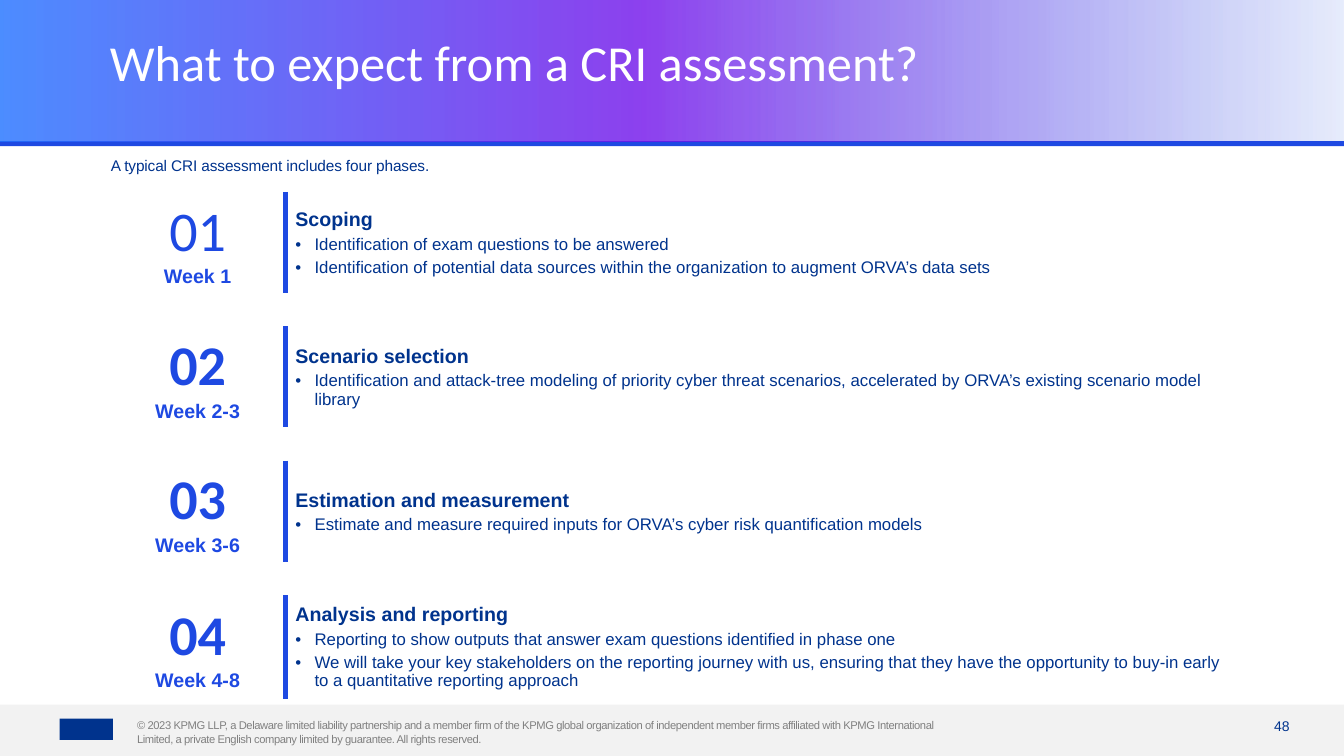
from lxml.etree import SubElement
from pptx import Presentation
from pptx.dml.color import RGBColor
from pptx.enum.shapes import MSO_SHAPE as Shape
from pptx.enum.text import MSO_ANCHOR as Anchor, PP_ALIGN as Align
from pptx.oxml import parse_xml
from pptx.oxml.ns import nsdecls, qn
from pptx.util import Inches, Pt

BLUE, NAVY, GREY, PALE, WHITE = "1E49E2", "00338D", "808080", "F2F2F2", "FFFFFF"
LEFT, WIDTH = 8.18, 83.72
PHASE_ROW, GAP_ROW, LAST_ROW = 13.33, 4.44, 13.6

PHASES = [
    ("Week 1", "Scoping", [
        "Identification of exam questions to be answered",
        "Identification of potential data sources within the organization to augment ORVA’s data sets"]),
    ("Week 2-3", "Scenario selection", [
        "Identification and attack-tree modeling of priority cyber threat scenarios, "
        "accelerated by ORVA’s existing scenario model library"]),
    ("Week 3-6", "Estimation and measurement", [
        "Estimate and measure required inputs for ORVA’s cyber risk quantification models"]),
    ("Week 4-8", "Analysis and reporting", [
        "Reporting to show outputs that answer exam questions identified in phase one",
        "We will take your key stakeholders on the reporting journey with us, ensuring that they "
        "have the opportunity to buy-in early to a quantitative reporting approach"]),
]
NOTICE = ("© 2023 KPMG LLP, a Delaware limited liability partnership and a member firm of the KPMG "
          "global organization of independent member firms affiliated with KPMG International "
          "Limited, a private English company limited by guarantee. All rights reserved.")


def color(hex_code):
    return RGBColor.from_string(hex_code)


class SlideBuilder:
    """Draws styled elements on one slide, with lengths in percent of its size."""

    def __init__(self, deck):
        self.deck = deck
        self.slide = deck.slides.add_slide(deck.slide_layouts[6])

    def across(self, share):
        return round(self.deck.slide_width * share / 100)

    def down(self, share):
        return round(self.deck.slide_height * share / 100)

    def place(self, left, top, width, height):
        return self.across(left), self.down(top), self.across(width), self.down(height)

    def bar(self, left, top, width, height, fill):
        shape = self.slide.shapes.add_shape(Shape.RECTANGLE, *self.place(left, top, width, height))
        shape.shadow.inherit = False
        shape.fill.solid()
        shape.fill.fore_color.rgb = color(fill)
        shape.line.fill.background()
        return shape

    def gradient_bar(self, left, top, width, height, stops):
        shape = self.bar(left, top, width, height, WHITE)
        stop_xml = "".join(
            f'<a:gs pos="{position * 1000}"><a:srgbClr val="{hex_code}">'
            f'<a:alpha val="{opacity * 1000}"/></a:srgbClr></a:gs>'
            for position, hex_code, opacity in stops)
        gradient = parse_xml(f'<a:gradFill {nsdecls("a")} rotWithShape="1"><a:gsLst>{stop_xml}'
                             '</a:gsLst><a:lin ang="0" scaled="0"/></a:gradFill>')
        properties = shape.element.spPr
        properties.replace(properties.find(qn("a:solidFill")), gradient)

    def style_text(self, para, text, size, hex_code, font="Arial", bold=False, spacing=0):
        para.text = text
        span = para.runs[0]
        span.font.name = font
        span.font.size = Pt(size)
        span.font.bold = bold
        span.font.color.rgb = color(hex_code)
        if spacing:
            span._r.get_or_add_rPr().set("spc", str(round(spacing * 100)))

    def text(self, left, top, width, height, text, size, hex_code, inset=(0, 0),
             anchor=Anchor.TOP, align=Align.LEFT, line_spacing=None, **style):
        box = self.slide.shapes.add_textbox(*self.place(left, top, width, height))
        frame = box.text_frame
        frame.word_wrap = True
        frame.vertical_anchor = anchor
        frame.margin_left, frame.margin_top = Inches(inset[0]), Inches(inset[1])
        frame.margin_right = frame.margin_bottom = 0
        para = frame.paragraphs[0]
        para.alignment = align
        para.line_spacing = line_spacing
        self.style_text(para, text, size, hex_code, **style)

    def bullet(self, para):
        properties = para._p.get_or_add_pPr()
        indent = Inches(0.19)
        properties.set("marL", str(indent))
        properties.set("indent", str(-indent))
        SubElement(properties, qn("a:buFont")).set("typeface", "Arial")
        SubElement(properties, qn("a:buChar")).set("char", "•")

    def border(self, cell, side):
        edge = parse_xml(f'<a:{side} {nsdecls("a")} w="{Pt(4.5)}"><a:solidFill>'
                         f'<a:srgbClr val="{BLUE}"/></a:solidFill></a:{side}>')
        cell._tc.get_or_add_tcPr().insert(0, edge)

    def week_cell(self, cell, number, week):
        paras = [cell.text_frame.paragraphs[0], cell.text_frame.add_paragraph()]
        for para in paras:
            para.alignment = Align.CENTER
        self.style_text(paras[0], f"{number:02}", 40, BLUE, font="Calibri", bold=number > 1)
        self.style_text(paras[1], week, 14, BLUE, bold=True)
        self.border(cell, "lnR")

    def detail_cell(self, cell, heading, points):
        para = cell.text_frame.paragraphs[0]
        para.space_after = Pt(3)
        self.style_text(para, heading, 14, NAVY, bold=True)
        for point in points:
            para = cell.text_frame.add_paragraph()
            self.bullet(para)
            para.space_after = Pt(3)
            self.style_text(para, point, 12, NAVY)
        self.border(cell, "lnL")

    def phase_table(self, left, top, columns, phases):
        heights = [PHASE_ROW, GAP_ROW] * (len(phases) - 1) + [LAST_ROW]
        frame = self.slide.shapes.add_table(
            len(heights), len(columns), *self.place(left, top, sum(columns), sum(heights)))
        table = frame.table
        table.first_row = table.horz_banding = False
        for column, width in zip(table.columns, columns):
            column.width = self.across(width)
        for row, height in zip(table.rows, heights):
            row.height = self.down(height)
        for cell in table.iter_cells():
            cell.fill.solid()
            cell.fill.fore_color.rgb = color(WHITE)
            cell.vertical_anchor = Anchor.MIDDLE
        for index, (week, heading, points) in enumerate(phases):
            self.week_cell(table.cell(2 * index, 0), index + 1, week)
            self.detail_cell(table.cell(2 * index, 1), heading, points)
        for gap in range(1, len(heights), 2):
            for cell in table.rows[gap].cells:
                cell.margin_top = cell.margin_bottom = 0


def main():
    deck = Presentation()
    deck.slide_width, deck.slide_height = Inches(13.33), Inches(7.5)
    page = SlideBuilder(deck)
    page.bar(0, 18.67, 100, 0.67, BLUE)
    page.bar(0, 93.2, 100, 6.8, PALE)
    page.bar(4.43, 95.07, 3.98, 2.8, NAVY)
    page.text(10.2, 95.07, 60.76, 3.6, NOTICE, 8, GREY, spacing=-0.3)
    page.text(91.97, 95.07, 3.98, 2.13, "48", 10, NAVY, anchor=Anchor.BOTTOM, align=Align.RIGHT)
    page.gradient_bar(0, 0, 100, 18.67,
                      [(0, "2272FF", 80), (48, "7213EA", 80), (100, BLUE, 10)])
    page.text(LEFT, 18.53, WIDTH, 4.67, "A typical CRI assessment includes four phases.",
              11, NAVY, inset=(0.01, 0.16), spacing=-0.1)
    page.phase_table(LEFT, 25.47, [13.05, 70.67], PHASES)
    page.text(LEFT, 6.27, WIDTH, 7.73, "What to expect from a CRI assessment?",
              36, WHITE, font="Calibri", line_spacing=0.7)
    deck.save("out.pptx")


if __name__ == "__main__":
    main()
